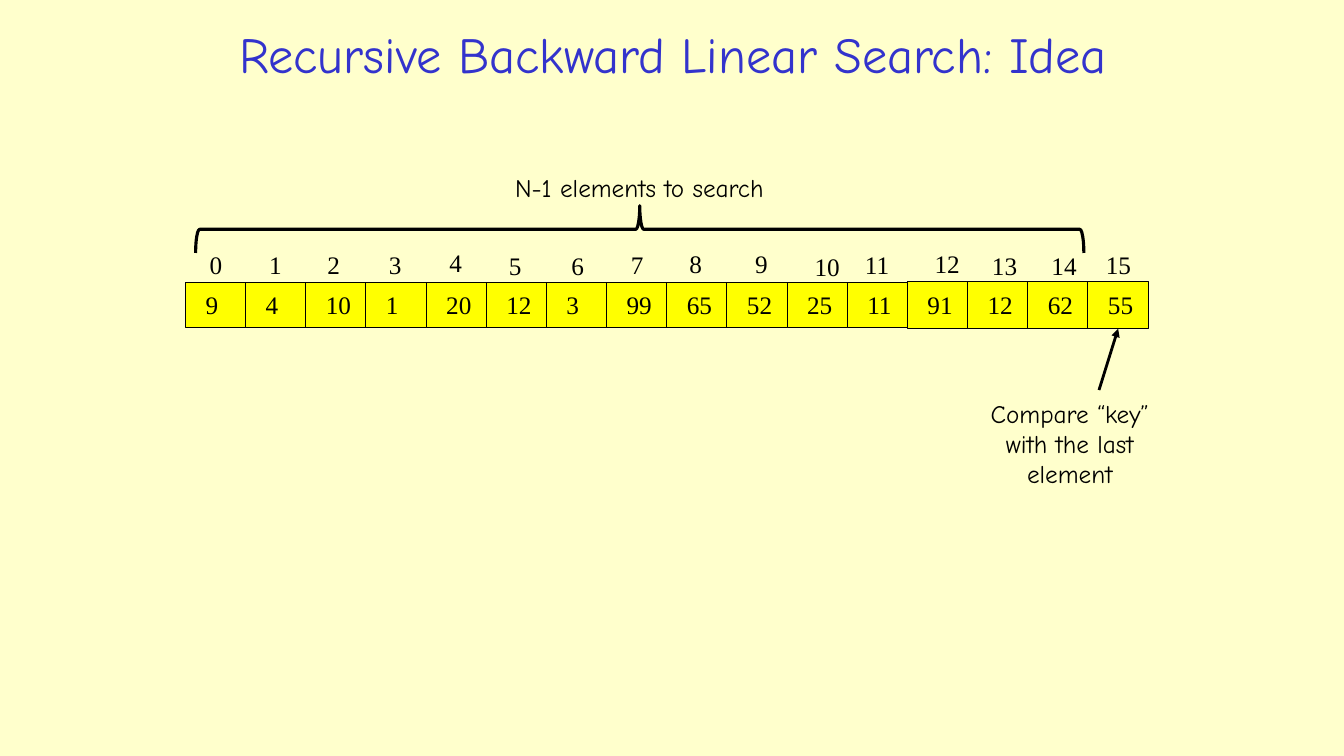
from dataclasses import dataclass

from lxml.etree import SubElement
from pptx import Presentation
from pptx.dml.color import RGBColor
from pptx.enum.shapes import MSO_CONNECTOR as Connector, MSO_SHAPE as Shape
from pptx.enum.text import MSO_ANCHOR as Anchor, MSO_AUTO_SIZE as AutoSize, PP_ALIGN as Align
from pptx.oxml.ns import qn
from pptx.util import Inches, Pt


@dataclass(frozen=True)
class Theme:
    background: RGBColor = RGBColor(0xFF, 0xFF, 0xCC)
    title: RGBColor = RGBColor(0x33, 0x33, 0xCC)
    ink: RGBColor = RGBColor(0, 0, 0)
    cell: RGBColor = RGBColor(0xFF, 0xFF, 0)
    text_font: str = "Comic Neue"
    number_font: str = "Times New Roman"
    title_size: int = 36
    body_size: int = 18
    cell_line: float = 0.75
    brace_line: float = 2.25
    arrow_line: float = 2


class ArraySlide:
    def __init__(self, presentation, theme):
        self.theme = theme
        self.slide = presentation.slides.add_slide(presentation.slide_layouts[6])
        fill = self.slide.background.fill
        fill.solid()
        fill.fore_color.rgb = theme.background

    def set_text(self, shape, text, align=Align.LEFT, anchor=Anchor.TOP, wrap=True, **font_format):
        """Fill the shape with one formatted run and return the run."""
        frame = shape.text_frame
        frame_format = {"word_wrap": wrap, "vertical_anchor": anchor, "auto_size": AutoSize.NONE}
        for name, value in frame_format.items():
            setattr(frame, name, value)
        paragraph = frame.paragraphs[0]
        paragraph.alignment = align
        run = paragraph.add_run()
        run.text = text
        values = {"name": self.theme.text_font, "size": Pt(self.theme.body_size), **font_format}
        for name, value in values.items():
            setattr(run.font, name, value)
        run.font.color.rgb = self.theme.ink
        return run

    def text(self, box, text, **text_format):
        shape = self.slide.shapes.add_textbox(*map(Inches, box))
        return self.set_text(shape, text, **text_format)

    def title(self, box, text):
        run = self.text(box, text, align=Align.CENTER, anchor=Anchor.MIDDLE,
                        size=Pt(self.theme.title_size))
        run.font.color.rgb = self.theme.title

    def shape(self, kind, box, fill=None, line_width=None):
        shape = self.slide.shapes.add_shape(kind, *map(Inches, box))
        shape.shadow.inherit = False
        if fill is None:
            shape.fill.background()
        else:
            shape.fill.solid()
            shape.fill.fore_color.rgb = fill
        if line_width is None:
            shape.line.fill.background()
        else:
            shape.line.color.rgb = self.theme.ink
            shape.line.width = Pt(line_width)
        return shape

    def number_box(self, left, top, number):
        return left, top, 0.33 if number < 10 else 0.45, 0.4

    def index(self, left, top, number):
        self.text(self.number_box(left, top, number), str(number), wrap=False,
                  name=self.theme.number_font)

    def cell(self, left, top, height, number):
        """Draw an outlined cell with its value on top and return the cell."""
        cell = self.shape(Shape.RECTANGLE, (left, top, 0.6, height),
                          self.theme.cell, self.theme.cell_line)
        value = self.shape(Shape.RECTANGLE, self.number_box(left + 0.1, 2.82, number),
                           self.theme.cell)
        self.set_text(value, str(number), wrap=False, name=self.theme.number_font)
        return cell

    def brace(self, box):
        brace = self.shape(Shape.RIGHT_BRACE, box, line_width=self.theme.brace_line)
        brace.rotation = 270
        brace.adjustments[0] = 0.084
        brace.adjustments[1] = 0.5

    def arrow_to_bottom(self, start, target):
        left, top = map(Inches, start)
        arrow = self.slide.shapes.add_connector(Connector.STRAIGHT, left, top, left, top)
        arrow.end_connect(target, 2)
        arrow.line.color.rgb = self.theme.ink
        arrow.line.width = Pt(self.theme.arrow_line)
        properties = arrow.element.spPr
        SubElement(properties.find(qn("a:ln")), qn("a:tailEnd"), type="triangle")
        SubElement(properties, qn("a:effectLst"))


VALUES = [9, 4, 10, 1, 20, 12, 3, 99, 65, 52, 25, 11, 91, 12, 62, 55]
INDEX_PLACES = [
    (1.98, 2.42), (2.57, 2.42), (3.15, 2.42), (3.76, 2.42),
    (4.36, 2.4), (4.95, 2.43), (5.57, 2.43), (6.16, 2.42),
    (6.74, 2.41), (7.39, 2.41), (7.98, 2.44), (8.48, 2.42),
    (9.17, 2.41), (9.74, 2.43), (10.33, 2.43), (10.87, 2.42),
]
FIRST_CELL_LEFT = 1.84
CELL_PITCH = (10.79 - FIRST_CELL_LEFT) / (len(VALUES) - 1)
FIRST_TALL_CELL = 12


def main():
    presentation = Presentation()
    presentation.slide_width = Inches(13.33)
    presentation.slide_height = Inches(7.5)
    page = ArraySlide(presentation, Theme())

    page.title((1.84, 0.15, 9.67, 0.76), "Recursive Backward Linear Search: Idea")
    for position, value in enumerate(VALUES):
        top, height = (2.8, 0.45) if position < FIRST_TALL_CELL else (2.79, 0.47)
        last_cell = page.cell(FIRST_CELL_LEFT + position * CELL_PITCH, top, height, value)
    for number, (left, top) in enumerate(INDEX_PLACES):
        page.index(left, top, number)

    page.brace((6.11, -2.13, 0.47, 8.81))
    page.text((5.01, 1.66, 3.19, 0.4), "N-1 elements to search")
    page.arrow_to_bottom((10.9, 3.87), last_cell)
    page.text((9.6, 3.9, 2.02, 1.01), "Compare “key” with the last element", align=Align.CENTER)

    presentation.save("out.pptx")


if __name__ == "__main__":
    main()
